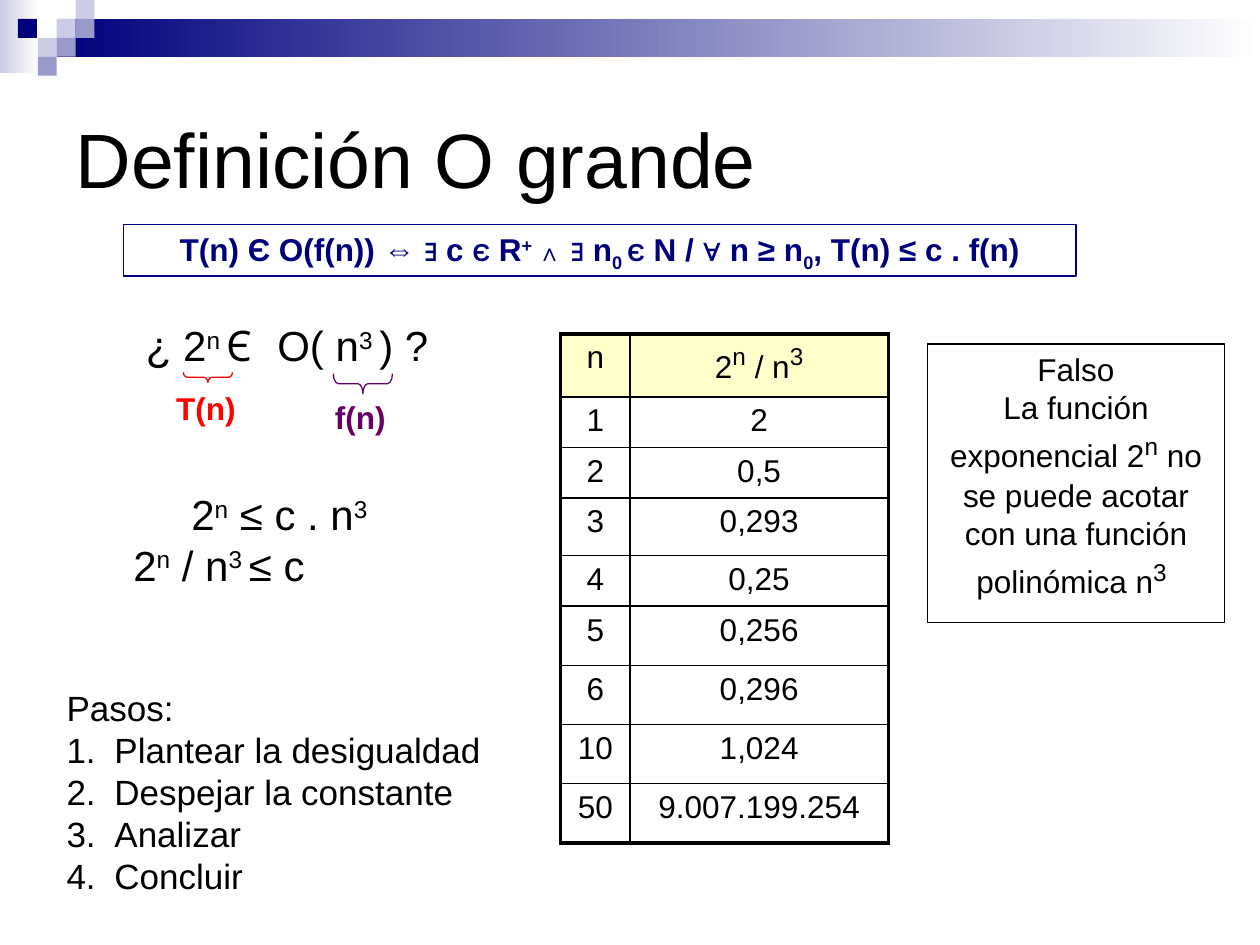
import pptx
import pptx.util
import pptx.dml.color
import pptx.enum.shapes
import pptx.enum.text
import pptx.oxml.ns
import lxml.etree

COLORS = {"navy": "00007D", "lilac": "CCCCE6", "violet": "9999CC", "white": "FFFFFF",
          "black": "000000", "red": "FF0000", "purple": "660066", "cream": "FFFFCC"}
WIDTH, HEIGHT = 10, 7.5
TILE = 0.15
SUP, SUB = 30, -25
SHAPES = pptx.enum.shapes.MSO_SHAPE
ALIGN = pptx.enum.text.PP_ALIGN
TOP = pptx.enum.text.MSO_ANCHOR.TOP
Inches, Pt = pptx.util.Inches, pptx.util.Pt


def rgb(name):
    return pptx.dml.color.RGBColor.from_string(COLORS[name])


def area(left, top, width, height):
    return [Inches(share * side / 100) for share, side in
            zip((left, top, width, height), (WIDTH, HEIGHT) * 2)]


def tiles(column, row, width, height):
    return [Inches(count * TILE) for count in (column, row, width, height)]


def child(parent, tag, **attributes):
    element = lxml.etree.SubElement(parent, pptx.oxml.ns.qn(tag))
    for key, value in attributes.items():
        element.set(key, str(value))
    return element


def write(paragraph, runs, size=18, color="black", bold=False, align=ALIGN.LEFT):
    paragraph.alignment = align
    font = paragraph.font
    font.name, font.size, font.bold = "Arial", Pt(size), bold
    font.color.rgb = rgb(color)
    for text, *style in [(runs,)] if isinstance(runs, str) else runs:
        run = paragraph.add_run()
        run.text = text
        for value in style:
            if isinstance(value, str):
                run.font.name = value
            elif value in (SUP, SUB):
                run._r.get_or_add_rPr().set("baseline", str(value * 1000))
            else:
                run.font.size = Pt(value)


def write_lines(frame, lines, **style):
    for index, runs in enumerate(lines):
        paragraph = frame.add_paragraph() if index else frame.paragraphs[0]
        write(paragraph, runs, **style)


def indent(paragraph, left, first=0):
    properties = paragraph._p.get_or_add_pPr()
    properties.set("marL", str(Inches(left)))
    properties.set("indent", str(Inches(first)))
    return properties


def add_text(slide, place, lines, wrap=True, **style):
    frame = slide.shapes.add_textbox(*place).text_frame
    frame.word_wrap = wrap
    write_lines(frame, lines, **style)
    return frame


def add_figure(slide, kind, place, line=None, fill=None):
    figure = slide.shapes.add_shape(kind, *place)
    figure.shadow.inherit = False
    if fill is None:
        figure.fill.background()
    elif isinstance(fill, tuple):
        figure.fill.gradient()
        figure.fill.gradient_angle = 0
        for stop, color, position in zip(figure.fill.gradient_stops, fill, (0, 1)):
            stop.color.rgb, stop.position = rgb(color), position
    else:
        figure.fill.solid()
        figure.fill.fore_color.rgb = rgb(fill)
    if line:
        figure.line.color.rgb = rgb(line)
        figure.line.width = Pt(0.75)
    else:
        figure.line.fill.background()
    return figure


def add_framed_text(slide, place, line, lines, **style):
    frame = add_figure(slide, SHAPES.RECTANGLE, place, line=line).text_frame
    frame.word_wrap, frame.vertical_anchor = True, TOP
    write_lines(frame, lines, align=ALIGN.CENTER, **style)


def add_braced_label(slide, label, label_place, brace_place, curve, color):
    add_text(slide, label_place, [label], color=color, bold=True)
    brace = add_figure(slide, SHAPES.RIGHT_BRACE, brace_place, line=color)
    brace.adjustments[0] = curve
    brace.rotation = 90


def add_header_band(slide):
    blocks = [((0, 0, 2.07, 3.87), ("lilac", "white")),
              ((3, 1, WIDTH / TILE - 3, 2), ("navy", "white"))]
    mosaic = {"lilac": [(3, 1), (4, 0), (2, 2)],
              "violet": [(4, 1), (3, 2), (2, 3)],
              "navy": [(0.95, 1)]}
    blocks += [((*cell, 1, 1), color) for color, cells in mosaic.items() for cell in cells]
    for block, fill in blocks:
        add_figure(slide, SHAPES.RECTANGLE, tiles(*block), fill=fill)


def add_ratio_table(slide, place):
    ratio = [("2",), ("n", SUP, 24), (" / n",), ("3", SUP, 24)]
    rows = [("n", ratio), ("1", "2"), ("2", "0,5"), ("3", "0,293"), ("4", "0,25"),
            ("5", "0,256"), ("6", "0,296"), ("10", "1,024"), ("50", "9.007.199.254")]
    heights = [0.5, 0.4, 0.4, 0.46, 0.4, 0.47, 0.47, 0.47, 0.47]
    table = slide.shapes.add_table(len(rows), 2, *place).table
    table.first_row = table.horz_banding = False
    for column, width in zip(table.columns, (0.55, 2.05)):
        column.width = Inches(width)
    for r, (values, height) in enumerate(zip(rows, heights)):
        table.rows[r].height = Inches(height)
        for c, value in enumerate(values):
            cell = table.cell(r, c)
            paragraph = cell.text_frame.paragraphs[0]
            write(paragraph, value, align=ALIGN.CENTER)
            paragraph.space_before = Pt(3.6)
            outer = {"L": c == 0, "R": c == 1, "T": r == 0, "B": r == len(rows) - 1}
            properties = cell._tc.get_or_add_tcPr()
            for side, is_outer in outer.items():
                border = child(properties, "a:ln" + side, w=Pt(2.25 if is_outer else 1))
                child(child(border, "a:solidFill"), "a:srgbClr", val=COLORS["black"])
            if r == 0:
                cell.fill.solid()
                cell.fill.fore_color.rgb = rgb("cream")
            else:
                cell.fill.background()


def add_steps(slide, place):
    steps = ["Pasos:", "Plantear la desigualdad", "Despejar la constante", "Analizar", "Concluir"]
    frame = add_text(slide, place, steps, size=20)
    for number, paragraph in enumerate(frame.paragraphs):
        properties = indent(paragraph, 0.38, -0.38)
        if number:
            bullet = child(properties, "a:buAutoNum", type="arabicPeriod")
            properties.remove(bullet)
            properties.insert(0, bullet)


def add_inequalities(slide, place):
    frame = add_text(slide, place, [
        [("2",), ("n", SUP), (" ≤ c . n",), ("3", SUP)],
        [("2",), ("n", SUP), (" / n",), ("3 ", SUP), ("≤ c",)]], size=24)
    for paragraph, left in zip(frame.paragraphs, (0.83, 0.37)):
        indent(paragraph, left)


def main():
    deck = pptx.Presentation()
    deck.slide_width, deck.slide_height = Inches(WIDTH), Inches(HEIGHT)
    slide = deck.slides.add_slide(deck.slide_layouts[5])
    add_header_band(slide)
    title = slide.shapes.title
    title.left, title.top, title.width, title.height = area(5, 6.67, 90, 20)
    write(title.text_frame.paragraphs[0], "Definición O grande", size=44)

    add_text(slide, area(10.6, 33.2, 25.4, 6.67), [
        [("¿ 2",), ("n ", SUP), ("Є ", "Noto Sans Mono"), ("O( n",), ("3 ", SUP), (") ?",)]],
        wrap=False, size=24)
    add_framed_text(slide, area(9.8, 23.73, 75.6, 5.47), "navy", [
        [("T(n) Є O(f(n)) ⇔ ∃ c ",), ("Є", 14), (" R",), ("+ ", SUP), ("∧", 14), (" ∃ n",),
         ("0 ", SUB), ("Є", 14), (" N / ∀ n ≥ n",), ("0", SUB), (", T(n) ≤ c . f(n)",)]],
        color="navy", bold=True)
    add_steps(slide, area(4.3, 72, 43.7, 28))
    add_inequalities(slide, area(5.9, 51.07, 34.6, 12))
    add_braced_label(slide, "T(n)", area(13, 40.53, 8.7, 5.33),
                     area(16.1, 37.33, 0.8, 5.2), 0.41, "red")
    add_braced_label(slide, "f(n)", area(25.6, 41.47, 8.7, 5.33),
                     area(28, 37.47, 1.6, 6.27), 0.25, "purple")
    add_ratio_table(slide, area(44.5, 35.33, 26, 53.6))
    add_framed_text(slide, area(73.6, 36.4, 23.6, 29.47), "black", [
        "Falso",
        [("La función exponencial 2",), ("n", SUP, 24),
         (" no se puede acotar con una función polinómica n",), ("3", SUP, 24), (" ",)]])
    deck.save("out.pptx")


main()
